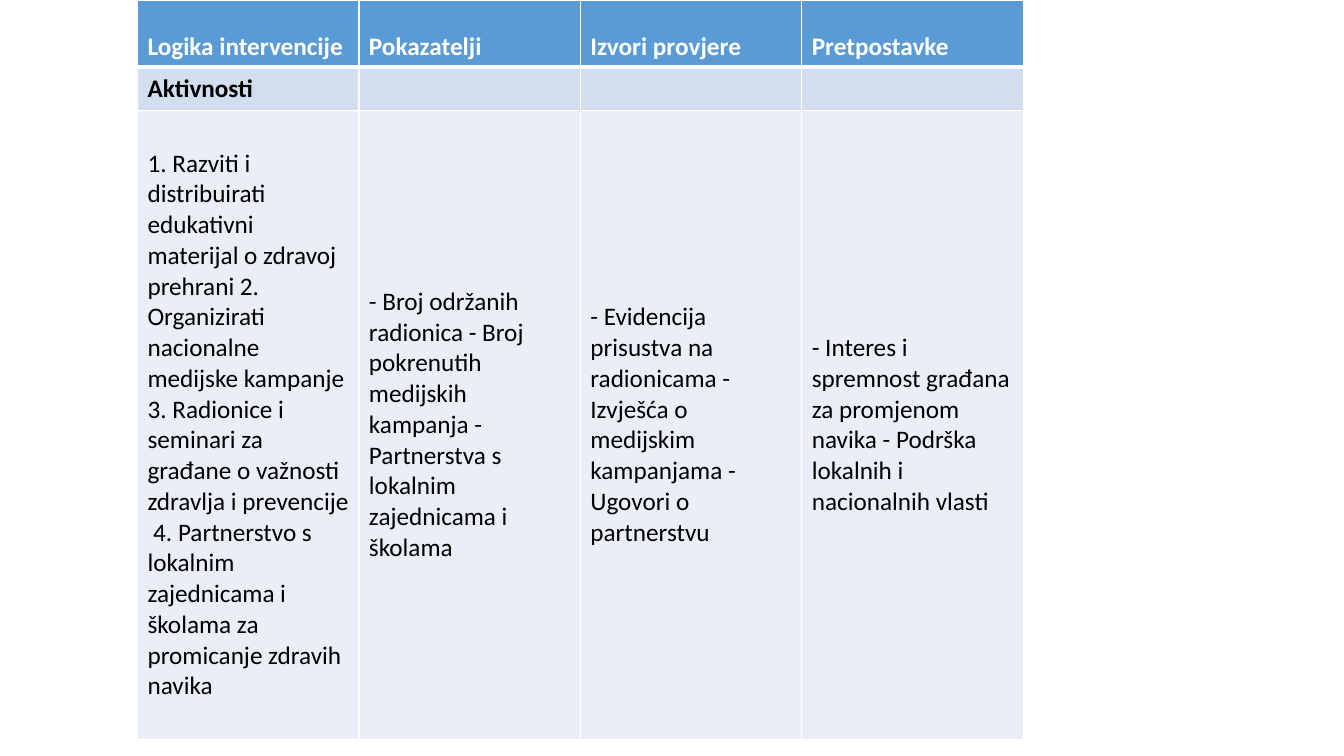
from lxml.etree import SubElement
from pptx import Presentation
from pptx.dml.color import RGBColor
from pptx.enum.text import MSO_ANCHOR
from pptx.oxml.ns import qn
from pptx.util import Pt

WHITE = RGBColor(0xFF, 0xFF, 0xFF)
BLACK = RGBColor(0x00, 0x00, 0x00)
HEADER_BLUE = RGBColor(0x5B, 0x9B, 0xD5)
BAND_BLUE = RGBColor(0xD2, 0xDE, 0xEF)
PALE_BLUE = RGBColor(0xEA, 0xEF, 0xF7)

COLUMN_WIDTH = Pt(158.2)
ROW_HEIGHTS = [Pt(48), Pt(31), Pt(449)]

HEADINGS = ["Logika intervencije", "Pokazatelji", "Izvori provjere", "Pretpostavke"]
SECTION = ["Aktivnosti", "", "", ""]
DETAILS = [
    "1. Razviti i distribuirati edukativni materijal o zdravoj prehrani "
    "2. Organizirati nacionalne medijske kampanje "
    "3. Radionice i seminari za građane o važnosti zdravlja i prevencije\n"
    " 4. Partnerstvo s lokalnim zajednicama i školama za promicanje zdravih navika",
    "- Broj održanih radionica - Broj pokrenutih medijskih kampanja "
    "- Partnerstva s lokalnim zajednicama i školama",
    "- Evidencija prisustva na radionicama - Izvješća o medijskim kampanjama "
    "- Ugovori o partnerstvu",
    "- Interes i spremnost građana za promjenom navika "
    "- Podrška lokalnih i nacionalnih vlasti",
]


class TablePage:
    font_name = "Calibri"
    font_size = Pt(18)

    def __init__(self, deck):
        self.page = deck.slides.add_slide(deck.slide_layouts[6])

    def add_table(self, left, top, column_count):
        frame = self.page.shapes.add_table(
            len(ROW_HEIGHTS), column_count, left, top,
            COLUMN_WIDTH * column_count, sum(ROW_HEIGHTS))
        table = frame.table
        for column in table.columns:
            column.width = COLUMN_WIDTH
        for row, height in zip(table.rows, ROW_HEIGHTS):
            row.height = height
        return table

    def fill_row(self, row, texts, fill, color, bold=False,
                 anchor=MSO_ANCHOR.MIDDLE, top=1, bottom=1):
        for cell, text in zip(row.cells, texts):
            self.add_borders(cell, {"lnL": 1, "lnR": 1, "lnT": top, "lnB": bottom})
            cell.fill.solid()
            cell.fill.fore_color.rgb = fill
            cell.vertical_anchor = anchor
            cell.text_frame.text = text
            for para in cell.text_frame.paragraphs:
                para.font.name = self.font_name
                para.font.size = self.font_size
                para.font.bold = bold
                para.font.color.rgb = color

    def add_borders(self, cell, widths):
        properties = cell._tc.get_or_add_tcPr()
        for tag, width in widths.items():
            line = SubElement(properties, qn(f"a:{tag}"), w=str(Pt(width)))
            solid = SubElement(line, qn("a:solidFill"))
            SubElement(solid, qn("a:srgbClr"), val=str(WHITE))


def main():
    deck = Presentation()
    deck.slide_width = Pt(960)
    deck.slide_height = Pt(540)

    page = TablePage(deck)
    table = page.add_table(Pt(98.2), Pt(0), len(HEADINGS))
    header, section, details = table.rows
    page.fill_row(header, HEADINGS, HEADER_BLUE, WHITE, bold=True,
                  anchor=MSO_ANCHOR.BOTTOM, bottom=3)
    page.fill_row(section, SECTION, BAND_BLUE, BLACK, bold=True, top=3)
    page.fill_row(details, DETAILS, PALE_BLUE, BLACK)

    deck.save("out.pptx")


if __name__ == "__main__":
    main()
